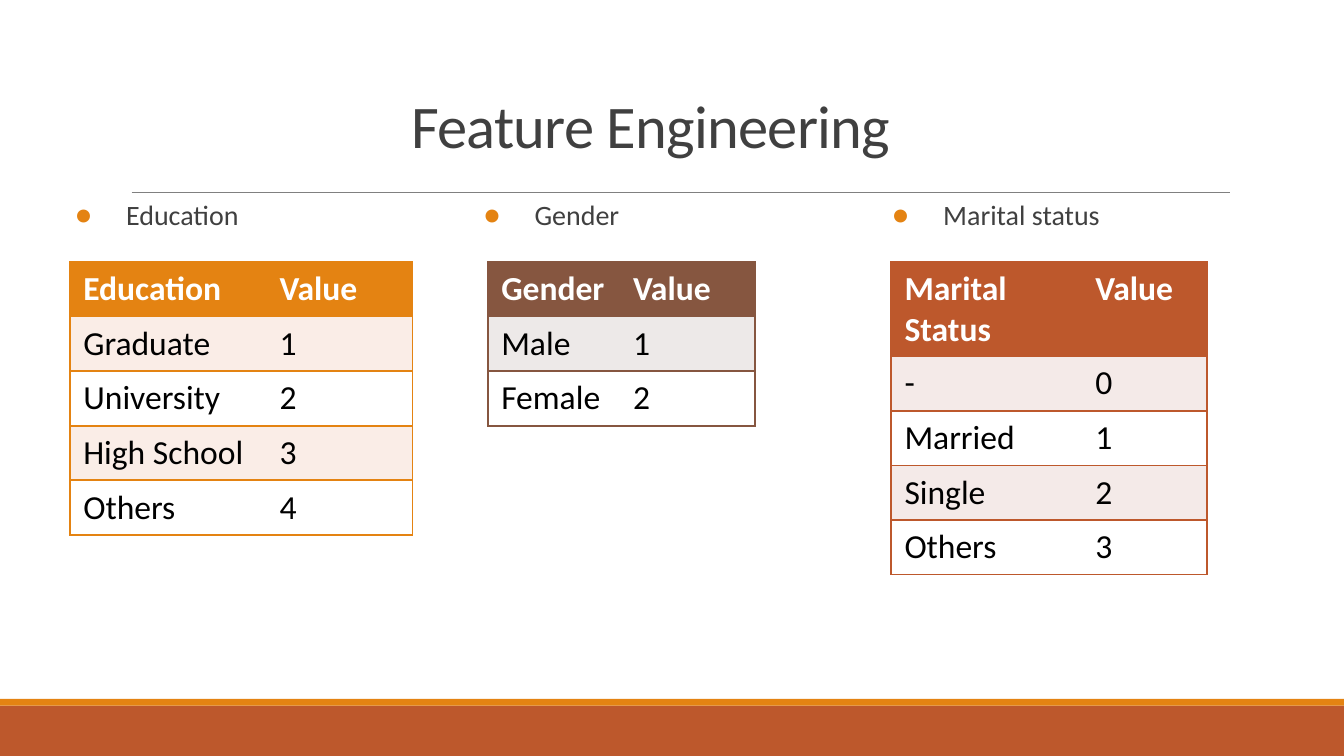
import lxml.etree
import pptx
import pptx.dml.color
import pptx.enum.shapes
import pptx.enum.text
import pptx.oxml.ns
import pptx.util

Inches = pptx.util.Inches
Pt = pptx.util.Pt
RGBColor = pptx.dml.color.RGBColor
qn = pptx.oxml.ns.qn

FONT = "Calibri"
ORANGE = RGBColor(0xE4, 0x83, 0x12)
RUST = RGBColor(0xBD, 0x58, 0x2C)
BROWN = RGBColor(0x86, 0x56, 0x40)
PALE_ORANGE = RGBColor(0xFA, 0xED, 0xE7)
PALE_RUST = RGBColor(0xF4, 0xEA, 0xE8)
PALE_BROWN = RGBColor(0xED, 0xE9, 0xE8)
GRAY = RGBColor(0x80, 0x80, 0x80)
DARK = RGBColor(0x40, 0x40, 0x40)
BLACK = RGBColor(0, 0, 0)
WHITE = RGBColor(0xFF, 0xFF, 0xFF)

SLIDE_WIDTH = Inches(10)
SLIDE_HEIGHT = SLIDE_WIDTH * 9 // 16
ROW_HEIGHT = Inches(2.03) // 5
TABLE_TOP = 1.95
LABEL_LEFT = 0.34
LABEL_STEP = 3.04

FEATURES = [
    ("Education", 0.52, (1.46, 1.09), ORANGE, PALE_ORANGE,
     [("Education", "Value"), ("Graduate", "1"), ("University", "2"),
      ("High School", "3"), ("Others", "4")]),
    ("Gender", 3.63, (0.98, 1.01), BROWN, PALE_BROWN,
     [("Gender", "Value"), ("Male", "1"), ("Female", "2")]),
    ("Marital status", 6.63, (1.42, 0.93), RUST, PALE_RUST,
     [("Marital Status", "Value"), ("-", "0"), ("Married", "1"),
      ("Single", "2"), ("Others", "3")]),
]


def add_span(para, text, size, color, bold=False):
    span = para.add_run()
    span.text = text
    span.font.name = FONT
    span.font.size = Pt(size)
    span.font.bold = bold
    span.font.color.rgb = color
    return span


def add_text_box(page, left, top, width, height, line_spacing):
    box = page.shapes.add_textbox(Inches(left), Inches(top), Inches(width), Inches(height))
    frame = box.text_frame
    frame.word_wrap = True
    frame.vertical_anchor = pptx.enum.text.MSO_ANCHOR.TOP
    frame.margin_left = frame.margin_right = Inches(0.1)
    frame.margin_top = frame.margin_bottom = Inches(0.1)
    para = frame.paragraphs[0]
    para.line_spacing = line_spacing
    return para


def add_title(page, text):
    para = add_text_box(page, 0.18, 0.64, 9.32, 0.63, 0.85)
    para.alignment = pptx.enum.text.PP_ALIGN.CENTER
    span = add_span(para, text, 32.4, DARK)
    span.font._element.set("spc", "-40")


def add_bullet_label(page, left, text):
    para = add_text_box(page, left, 1.4, LABEL_STEP, 0.45, 0.9)
    add_span(para, text, 15, DARK)
    properties = para._p.get_or_add_pPr()
    properties.set("marL", str(Inches(0.5)))
    properties.set("indent", str(Inches(-0.38)))
    bullet_color = lxml.etree.SubElement(properties, qn("a:buClr"))
    lxml.etree.SubElement(bullet_color, qn("a:srgbClr"), val=str(ORANGE))
    lxml.etree.SubElement(properties, qn("a:buFont"), typeface=FONT)
    lxml.etree.SubElement(properties, qn("a:buChar"), char="●")


def add_band(page, top, bottom, color):
    band = page.shapes.add_shape(pptx.enum.shapes.MSO_SHAPE.RECTANGLE,
                                 0, top, SLIDE_WIDTH, bottom - top)
    band.shadow.inherit = False
    band.fill.solid()
    band.fill.fore_color.rgb = color
    band.line.fill.background()


def add_rule(page):
    rule = page.shapes.add_connector(pptx.enum.shapes.MSO_CONNECTOR.STRAIGHT,
                                     Inches(0.98), Inches(1.43), Inches(9.15), Inches(1.43))
    rule.line.color.rgb = GRAY
    rule.line.width = Pt(0.5)
    lxml.etree.SubElement(rule._element.spPr, qn("a:effectLst"))


def set_borders(cell, color, visible_sides):
    properties = cell._tc.get_or_add_tcPr()
    for side in "LRTB":
        line = lxml.etree.SubElement(properties, qn(f"a:ln{side}"), w=str(Pt(1)))
        if side in visible_sides:
            fill = lxml.etree.SubElement(line, qn("a:solidFill"))
            lxml.etree.SubElement(fill, qn("a:srgbClr"), val=str(color))
        else:
            lxml.etree.SubElement(line, qn("a:noFill"))


def add_value_table(page, left, widths, color, pale, rows):
    table = page.shapes.add_table(len(rows), len(widths), Inches(left), Inches(TABLE_TOP),
                                  Inches(sum(widths)), ROW_HEIGHT * len(rows)).table
    for column, width in zip(table.columns, widths):
        column.width = Inches(width)
    for row_index, row in enumerate(rows):
        table.rows[row_index].height = ROW_HEIGHT
        is_header = row_index == 0
        fill = color if is_header else (pale if row_index % 2 else WHITE)
        for column_index, text in enumerate(row):
            cell = table.cell(row_index, column_index)
            set_borders(cell, color, "LTB" if column_index == 0 else "RTB")
            cell.fill.solid()
            cell.fill.fore_color.rgb = fill
            add_span(cell.text_frame.paragraphs[0], text, 18,
                     WHITE if is_header else BLACK, is_header)


def main():
    deck = pptx.Presentation()
    deck.slide_width = SLIDE_WIDTH
    deck.slide_height = SLIDE_HEIGHT
    page = deck.slides.add_slide(deck.slide_layouts[6])
    add_band(page, Inches(5.25), SLIDE_HEIGHT, RUST)
    add_band(page, Inches(5.2), Inches(5.25), ORANGE)
    add_rule(page)
    add_title(page, "Feature Engineering")
    for index, (label, left, widths, color, pale, rows) in enumerate(FEATURES):
        add_bullet_label(page, LABEL_LEFT + index * LABEL_STEP, label)
        add_value_table(page, left, widths, color, pale, rows)
    deck.save("out.pptx")


if __name__ == "__main__":
    main()
